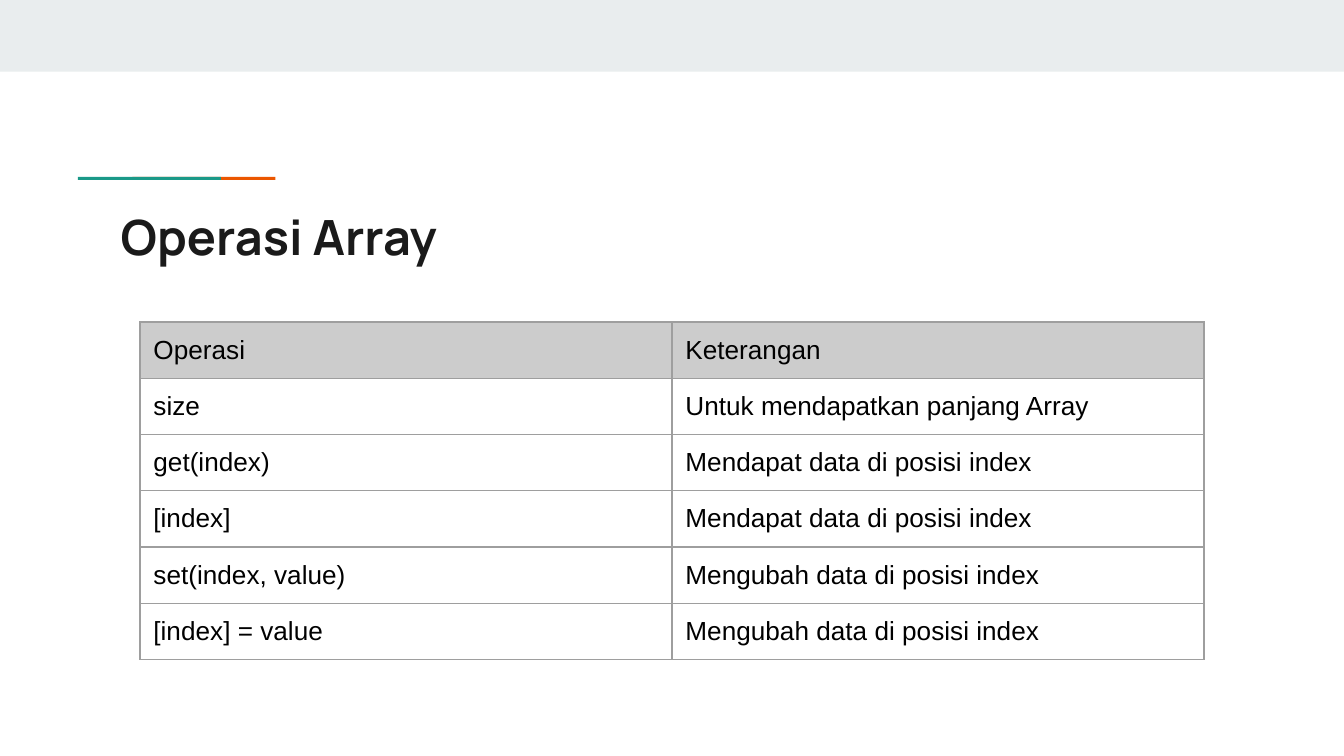
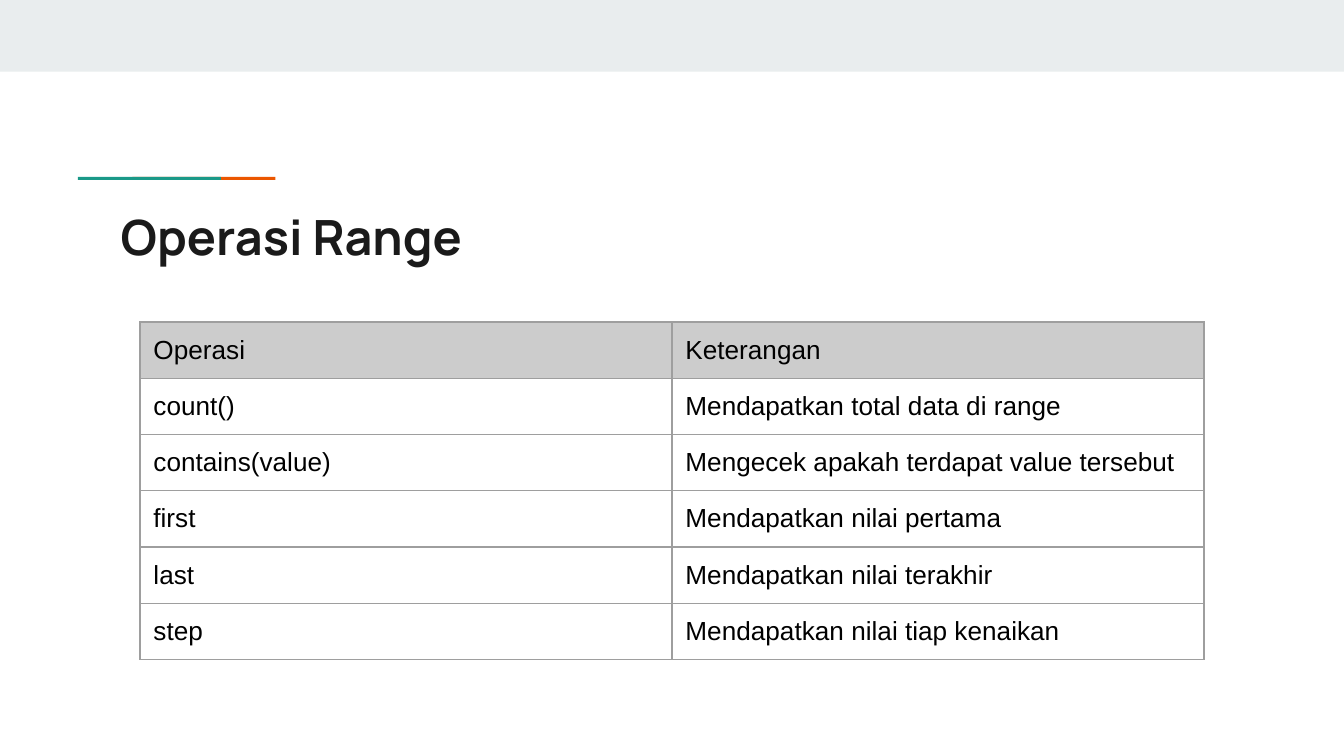
from lxml import etree
from pptx import Presentation
from pptx.dml.color import RGBColor
from pptx.enum import shapes, text
from pptx.oxml import ns
from pptx.util import Pt

COLORS = {
    "background": "FFFFFF",
    "band": "E9EDEE",
    "teal": "1A9988",
    "orange": "EB5600",
    "title": "1A1A1A",
    "body": "000000",
    "header": "CCCCCC",
    "border": "9E9E9E",
}
WIDTH, HEIGHT = 720, 405
INSET = 7.2
COLUMN_WIDTH, ROW_HEIGHT = 285, 30.15
HEADER = ("Operasi", "Keterangan")
TABLES = {
    "Operasi Array": [
        ("size", "Untuk mendapatkan panjang Array"),
        ("get(index)", "Mendapat data di posisi index"),
        ("[index]", "Mendapat data di posisi index"),
        ("set(index, value)", "Mengubah data di posisi index"),
        ("[index] = value", "Mengubah data di posisi index"),
    ],
    "Operasi Range": [
        ("count()", "Mendapatkan total data di range"),
        ("contains(value)", "Mengecek apakah terdapat value tersebut"),
        ("first", "Mendapatkan nilai pertama"),
        ("last", "Mendapatkan nilai terakhir"),
        ("step", "Mendapatkan nilai tiap kenaikan"),
    ],
}


def rgb(name):
    return RGBColor.from_string(COLORS[name])


def set_insets(box, bottom=INSET):
    box.margin_left = box.margin_right = box.margin_top = Pt(INSET)
    box.margin_bottom = Pt(bottom)


def style_text(tf, font, size, color, bold=False):
    for p in tf.paragraphs:
        for r in p.runs:
            r.font.name = font
            r.font.size = Pt(size)
            r.font.bold = bold
            r.font.color.rgb = rgb(color)


def add_bar(s, left, top, width, height, color):
    sp = s.shapes.add_shape(shapes.MSO_SHAPE.RECTANGLE,
                            Pt(left), Pt(top), Pt(width), Pt(height))
    sp.shadow.inherit = False
    sp.fill.solid()
    sp.fill.fore_color.rgb = rgb(color)
    sp.line.fill.background()


def add_title(s, title):
    tf = s.shapes.add_textbox(Pt(57.6), Pt(103.7), Pt(605.5), Pt(42.5)).text_frame
    tf.word_wrap = True
    tf.vertical_anchor = text.MSO_ANCHOR.TOP
    set_insets(tf)
    tf.text = title
    style_text(tf, "Manrope", 26, "title", bold=True)


def set_borders(cell):
    tc_pr = cell._tc.get_or_add_tcPr()
    for side in ("lnL", "lnR", "lnT", "lnB"):
        ln = etree.SubElement(tc_pr, ns.qn(f"a:{side}"), w=str(Pt(0.75)))
        fill = etree.SubElement(ln, ns.qn("a:solidFill"))
        etree.SubElement(fill, ns.qn("a:srgbClr"), val=COLORS["border"])


def add_table(s, rows):
    table = s.shapes.add_table(
        len(rows), len(HEADER), Pt(75), Pt(172.5),
        Pt(COLUMN_WIDTH * len(HEADER)), Pt(ROW_HEIGHT * len(rows))).table
    table.first_row = table.horz_banding = False
    for column in table.columns:
        column.width = Pt(COLUMN_WIDTH)
    for i, values in enumerate(rows):
        table.rows[i].height = Pt(ROW_HEIGHT)
        for j, value in enumerate(values):
            cell = table.cell(i, j)
            set_borders(cell)
            set_insets(cell, bottom=5.5)
            if i == 0:
                cell.fill.solid()
                cell.fill.fore_color.rgb = rgb("header")
            else:
                cell.fill.background()
            cell.text_frame.text = value
            style_text(cell.text_frame, "Arial", 14, "body")


def add_table_slide(prs, title, rows):
    s = prs.slides.add_slide(prs.slide_layouts[6])
    s.background.fill.solid()
    s.background.fill.fore_color.rgb = rgb("background")
    add_bar(s, 0, 0, WIDTH, 38.4, "band")
    for left, color in ((71, "orange"), (41.8, "teal")):
        add_bar(s, left, 94.8, 76.6, 1.6, color)
    add_title(s, title)
    add_table(s, [HEADER, *rows])


def main():
    prs = Presentation()
    prs.slide_width, prs.slide_height = Pt(WIDTH), Pt(HEIGHT)
    for title, rows in TABLES.items():
        add_table_slide(prs, title, rows)
    prs.save("out.pptx")


if __name__ == "__main__":
    main()
